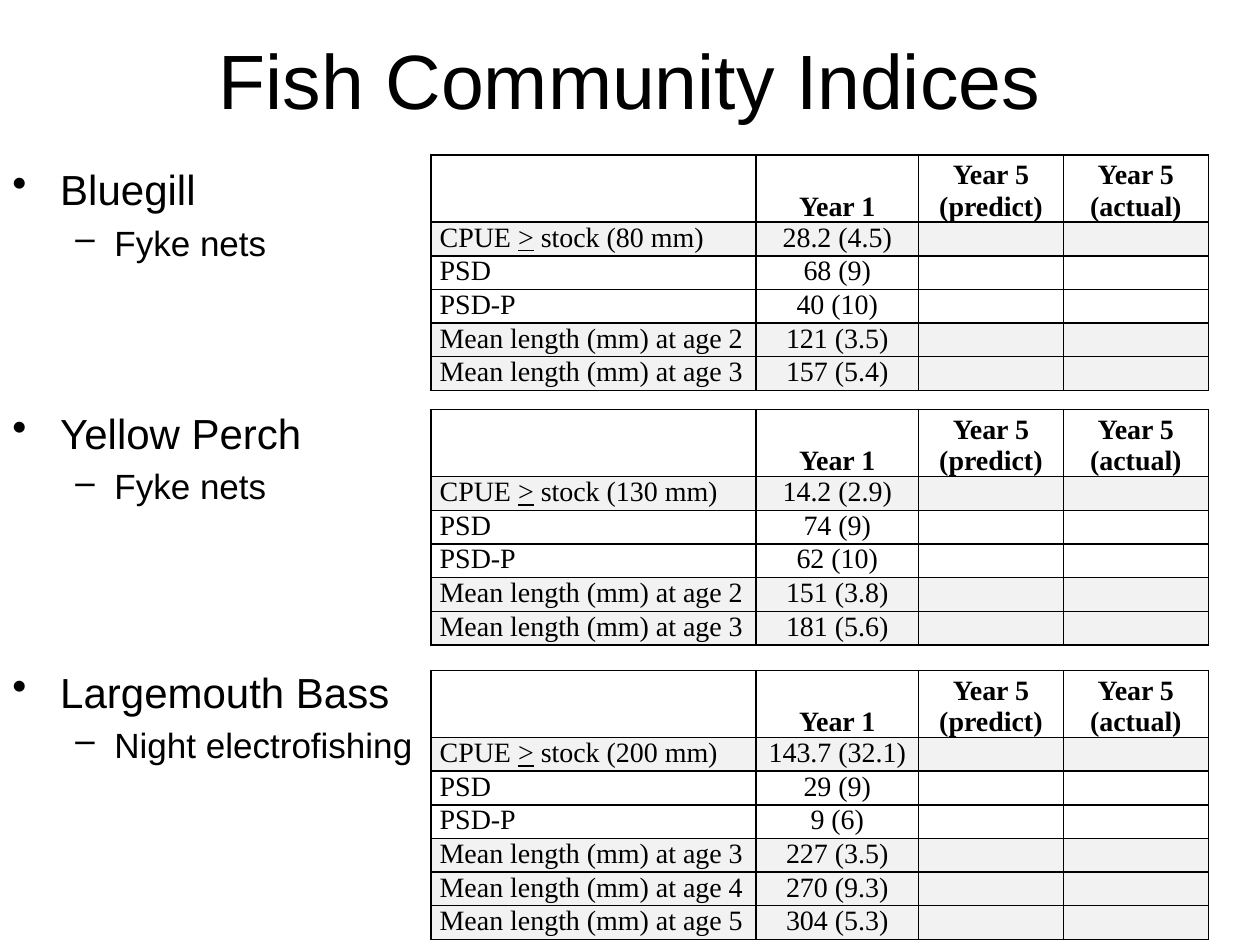
from pptx import Presentation
from pptx.dml.color import RGBColor as RGB
from pptx.enum.text import MSO_ANCHOR as Anchor, PP_ALIGN as Align
from pptx.oxml import parse_xml
from pptx.oxml.ns import nsdecls
from pptx.util import Inches, Pt

COLORS = {"ink": "000000", "shade": "F2F2F2"}

deck = Presentation()
deck.slide_width, deck.slide_height = Inches(10), Inches(7.5)
slide = deck.slides.add_slide(deck.slide_layouts[6])


def style(para, size, face="Arial", bold=False):
    font = para.font
    font.size, font.name, font.bold = Pt(size), face, bold
    font.color.rgb = RGB.from_string(COLORS["ink"])


def border(cell):
    props = cell._tc.get_or_add_tcPr()
    for i, side in enumerate(("lnL", "lnR", "lnT", "lnB")):
        props.insert(i, parse_xml(
            f'<a:{side} {nsdecls("a")} w="12700"><a:solidFill>'
            f'<a:srgbClr val="{COLORS["ink"]}"/></a:solidFill></a:{side}>'))


# Title
title = slide.shapes.add_textbox(Inches(0.5), 0, Inches(9), Inches(1.25)).text_frame
title.word_wrap = True
title.vertical_anchor = Anchor.MIDDLE
para = title.paragraphs[0]
para.text = "Fish Community Indices"
para.alignment = Align.CENTER
style(para, 44)

# Species list: text, level, space before in points
items = [
    ("Bluegill", 0, 5), ("Fyke nets", 1, 4),
    ("Yellow Perch", 0, 82.5), ("Fyke nets", 1, 4),
    ("Largemouth Bass", 0, 91), ("Night electrofishing", 1, 4),
]
levels = [("•", 24, 0.38, 0.38), ("–", 20, 0.81, 0.31)]
body = slide.shapes.add_textbox(0, Inches(1.25), Inches(9), Inches(5.45)).text_frame
body.word_wrap = True
for i, (text, level, gap) in enumerate(items):
    mark, size, left, hang = levels[level]
    para = body.paragraphs[0] if i == 0 else body.add_paragraph()
    para.text, para.level, para.space_before = text, level, Pt(gap)
    style(para, size)
    props = para._p.get_or_add_pPr()
    props.set("marL", str(Inches(left)))
    props.set("indent", str(-Inches(hang)))
    bullet = parse_xml(f'<a:buChar {nsdecls("a")} char="{mark}"/>')
    props.insert(list(props).index(props.defRPr) if hasattr(props, "defRPr")
                 and props.defRPr is not None else len(props), bullet)

# Tables: top, stock length, first age, Year 1 values
tables = [
    (1.23, 80, 2, ["28.2 (4.5)", "68 (9)", "40 (10)", "121 (3.5)", "157 (5.4)"]),
    (3.25, 130, 2, ["14.2 (2.9)", "74 (9)", "62 (10)", "151 (3.8)", "181 (5.6)"]),
    (5.32, 200, 3, ["143.7 (32.1)", "29 (9)", "9 (6)", "227 (3.5)", "270 (9.3)",
                    "304 (5.3)"]),
]
widths = [2.58, 1.29, 1.15, 1.15]
head, step = 0.49, 0.26
for top, stock, age, values in tables:
    labels = [f"CPUE > stock ({stock} mm)", "PSD", "PSD-P"]
    labels += [f"Mean length (mm) at age {age + n}" for n in range(len(values) - 3)]
    rows = [["", "Year 1", "Year 5\n(predict)", "Year 5\n(actual)"]]
    rows += [[label, value, "", ""] for label, value in zip(labels, values)]
    grid = slide.shapes.add_table(
        len(rows), 4, Inches(3.42), Inches(top), Inches(sum(widths)),
        Inches(head + step * len(values))).table
    grid.first_row = grid.horz_banding = False
    for col, width in zip(grid.columns, widths):
        col.width = Inches(width)
    for r, row in enumerate(rows):
        grid.rows[r].height = Inches(step if r else head)
        for c, text in enumerate(row):
            cell = grid.cell(r, c)
            cell.margin_left = cell.margin_right = Inches(0.07)
            cell.margin_top = cell.margin_bottom = 0
            cell.vertical_anchor = Anchor.TOP if r else Anchor.BOTTOM
            if r and not row[0].startswith("PSD"):
                cell.fill.solid()
                cell.fill.fore_color.rgb = RGB.from_string(COLORS["shade"])
            else:
                cell.fill.background()
            border(cell)
            frame = cell.text_frame
            if ">" in text:
                start, end = text.split(">")
                for part in (start, ">", end):
                    run = frame.paragraphs[0].add_run()
                    run.text = part
                    run.font.underline = part == ">"
            else:
                frame.text = text
            for para in frame.paragraphs:
                para.alignment = Align.CENTER if c else Align.LEFT
                style(para, 16, "Times New Roman", r == 0)
                if not text:
                    # Keeps empty rows from growing
                    para._p.get_or_add_endParaRPr().set("sz", "1600")

deck.save("out.pptx")
